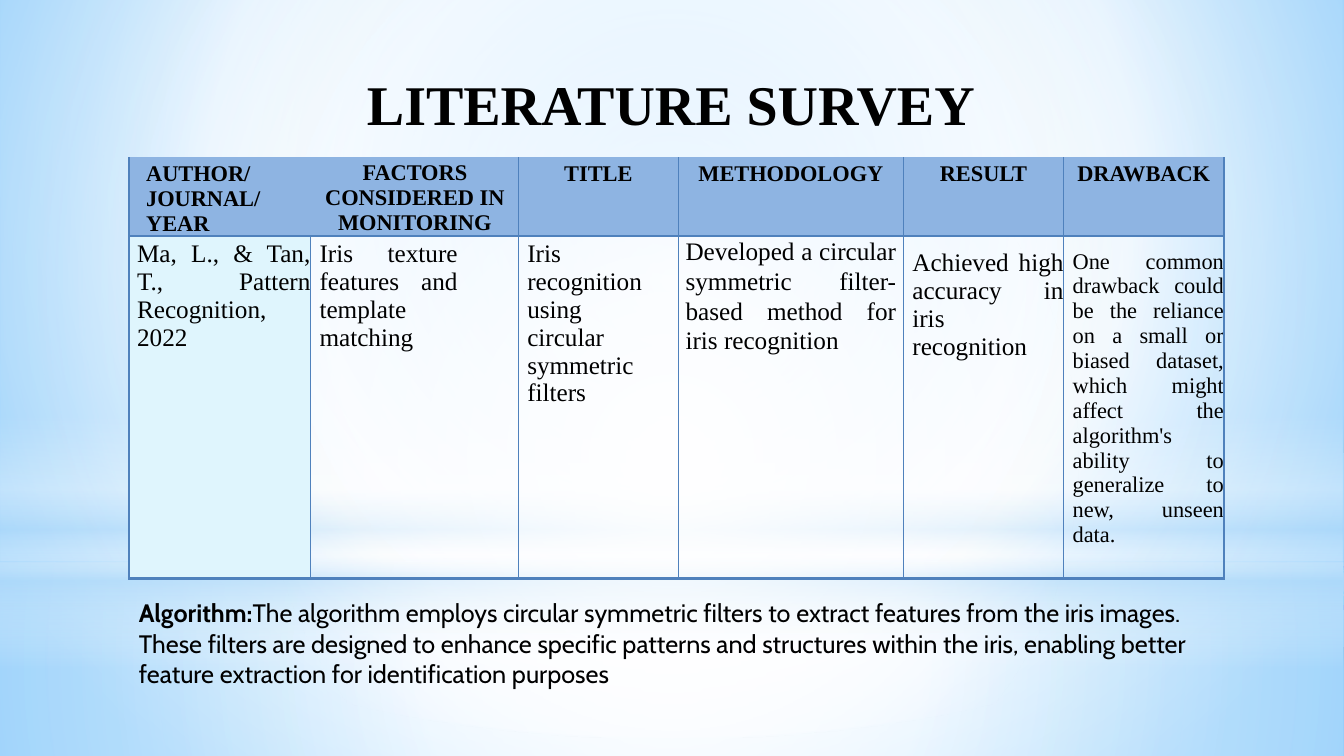
from lxml import etree
from pptx import Presentation
from pptx.dml.color import RGBColor
from pptx.enum.shapes import MSO_SHAPE
from pptx.enum.text import MSO_ANCHOR, MSO_AUTO_SIZE, PP_ALIGN
from pptx.oxml import parse_xml
from pptx.oxml.ns import nsdecls, qn
from pptx.util import Inches, Pt

LEFT, CENTER, JUSTIFY = PP_ALIGN.LEFT, PP_ALIGN.CENTER, PP_ALIGN.JUSTIFY
TOP = MSO_ANCHOR.TOP
NO_FIT = MSO_AUTO_SIZE.NONE
RECTANGLE, OVAL = MSO_SHAPE.RECTANGLE, MSO_SHAPE.OVAL
SERIF, SANS = "Times New Roman", "Cabin"
BLACK, BORDER, HEADER, HIGHLIGHT = "000000", "4F81BC", "8EB4E2", "DFF5FD"
WHITE, PALE_BLUE = "FFFFFF", "B4DCFA"
CENTERED = (50, 50, 50, 50)

BACKGROUND_STOPS = [(0, "9ED5FF", 100), (60, WHITE, 100), (100, "5BB9FF", 100)]
LAYERS = [
    (RECTANGLE, 5.58, 1.92, CENTERED,
     [(0, WHITE, 91), (37, WHITE, 76), (100, PALE_BLUE, 79)]),
    (RECTANGLE, 0, 5.58, CENTERED,
     [(0, WHITE, 89), (48, WHITE, 62), (100, PALE_BLUE, 79)]),
    (RECTANGLE, 4.12, 2.5, None,
     [(0, WHITE, 0), (29, WHITE, 30), (45, PALE_BLUE, 40),
      (55, WHITE, 26), (65, PALE_BLUE, 60), (100, WHITE, 0)]),
    (OVAL, 1.75, 5.58, CENTERED, [(0, WHITE, 100), (56, WHITE, 0)]),
]

COLUMN_WIDTHS = [1.8, 2.06, 1.59, 2.23, 1.59, 1.59]
ROW_HEIGHTS = [0.74, 3.4]
HEADINGS = [
    ("AUTHOR/ JOURNAL/ YEAR", (0.17, 0.04, 0, 0), {"align": LEFT, "before": 3.1}),
    ("FACTORS CONSIDERED IN MONITORING", (0.11, 0.03, 0.1, 0), {"before": 2.1}),
    ("TITLE", (0, 0.04, 0, 0), {"before": 3.1}),
    ("METHODOLOGY", (0, 0.04, 0, 0), {"before": 3.1}),
    ("RESULT", (0.1, 0.04, 0.1, 0), {"before": 3.1}),
    ("DRAWBACK", (0.1, 0.04, 0.1, 0), {"before": 3.1}),
]
ENTRIES = [
    ("Ma, L., & Tan, T., Pattern Recognition, 2022",
     (0.08, 0.04, 0, 0), {"before": 3.1}),
    ("Iris texture features and template matching",
     (0.09, 0.04, 0.6, 0), {"before": 3}),
    ("Iris recognition using circular symmetric filters",
     (0.09, 0.04, 0.3, 0), {"before": 3.1}),
    ("Developed a circular symmetric filter-based method for iris recognition",
     (0.07, 0, 0.07, 0), {"spacing": 1.07, "after": 8}),
    ("Achieved high accuracy in iris recognition",
     (0.09, 0.13, 0, 0), {"before": 9.2}),
    ("One common drawback could be the reliance on a small or biased dataset, "
     "which might affect the algorithm's ability to generalize to new, unseen data.",
     (0.09, 0.13, 0, 0), {"before": 9.2, "size": 16}),
]


def color(value):
    return RGBColor.from_string(value)


def write_text(paragraph, text, size=18, font=SERIF, bold=False, align=LEFT,
               before=0, after=0, spacing=None):
    paragraph.alignment = align
    paragraph.space_before = Pt(before)
    paragraph.space_after = Pt(after)
    if spacing:
        paragraph.line_spacing = spacing
    run = paragraph.add_run()
    run.text = text
    run.font.name = font
    run.font.size = Pt(size)
    run.font.bold = bold
    run.font.color.rgb = color(BLACK)


def set_margins(target, margins):
    left, top, right, bottom = (Inches(margin) for margin in margins)
    target.margin_left, target.margin_top = left, top
    target.margin_right, target.margin_bottom = right, bottom


def set_gradient(fill, parent, stops, focus=None):
    fill.solid()
    stop_xml = "".join(
        f'<a:gs pos="{position * 1000}"><a:srgbClr val="{value}">'
        f'<a:alpha val="{alpha * 1000}"/></a:srgbClr></a:gs>'
        for position, value, alpha in stops)
    if focus:
        left, top, right, bottom = (edge * 1000 for edge in focus)
        direction = (f'<a:path path="circle"><a:fillToRect l="{left}" t="{top}" '
                     f'r="{right}" b="{bottom}"/></a:path>')
    else:
        direction = '<a:lin ang="5400000" scaled="0"/>'
    gradient = parse_xml(f'<a:gradFill {nsdecls("a")} rotWithShape="1">'
                         f'<a:gsLst>{stop_xml}</a:gsLst>{direction}</a:gradFill>')
    parent.replace(parent.find(qn("a:solidFill")), gradient)


def add_backdrop(slide, width):
    fill = slide.background.fill
    fill.solid()
    properties = slide._element.find(".//" + qn("p:bgPr"))
    set_gradient(fill, properties, BACKGROUND_STOPS, (20, 10, 20, 60))
    for kind, top, height, focus, stops in LAYERS:
        shape = slide.shapes.add_shape(kind, 0, Inches(top), width, Inches(height))
        shape.shadow.inherit = False
        shape.line.fill.background()
        set_gradient(shape.fill, shape._element.spPr, stops, focus)


def add_title(slide, left, top, width, height):
    title = slide.shapes.title
    slide.shapes._spTree.append(title._element)
    title.left, title.top = Inches(left), Inches(top)
    title.width, title.height = Inches(width), Inches(height)
    frame = title.text_frame
    frame.auto_size = NO_FIT
    frame.vertical_anchor = TOP
    set_margins(frame, (0, 0.01, 0, 0))
    write_text(frame.paragraphs[0], "LITERATURE SURVEY", size=40, bold=True,
               align=CENTER, before=1)


def set_border(cell, side, width):
    properties = cell._tc.get_or_add_tcPr()
    line = etree.SubElement(properties, qn(f"a:ln{side}"), w=str(Pt(width)))
    if width:
        fill = etree.SubElement(line, qn("a:solidFill"))
        etree.SubElement(fill, qn("a:srgbClr"), val=BORDER)
    else:
        etree.SubElement(line, qn("a:noFill"))


def add_survey_table(slide, left, top, width, height):
    frame = slide.shapes.add_table(len(ROW_HEIGHTS), len(COLUMN_WIDTHS), Inches(left),
                                   Inches(top), Inches(width), Inches(height))
    table = frame.table
    table.first_row = table.horz_banding = False
    for column, column_width in zip(table.columns, COLUMN_WIDTHS):
        column.width = Inches(column_width)
    for row, row_height in zip(table.rows, ROW_HEIGHTS):
        row.height = Inches(row_height)
    for row_index, contents in enumerate([HEADINGS, ENTRIES]):
        is_heading = row_index == 0
        base = ({"size": 16, "bold": True, "align": CENTER} if is_heading
                else {"align": JUSTIFY})
        for column_index, (text, margins, style) in enumerate(contents):
            cell = table.cell(row_index, column_index)
            cell.vertical_anchor = TOP
            set_margins(cell, margins)
            write_text(cell.text_frame.paragraphs[0], text, **{**base, **style})
            set_border(cell, "L", 0 if is_heading and column_index == 1 else 1)
            set_border(cell, "R", 0 if is_heading and column_index == 0 else 1)
            set_border(cell, "T", 0 if is_heading else 1)
            set_border(cell, "B", 1 if is_heading else 2.25)
            if is_heading or column_index == 0:
                cell.fill.solid()
                cell.fill.fore_color.rgb = color(HEADER if is_heading else HIGHLIGHT)
            else:
                cell.fill.background()


def add_algorithm_note(slide, left, top, width, height):
    box = slide.shapes.add_textbox(Inches(left), Inches(top), Inches(width), Inches(height))
    box.text_frame.word_wrap = True
    paragraph = box.text_frame.paragraphs[0]
    write_text(paragraph, "Algorithm:", font=SANS, bold=True)
    write_text(paragraph, "The algorithm employs circular symmetric filters to extract "
               "features from the iris images. These filters are designed to enhance "
               "specific patterns and structures within the iris, enabling better "
               "feature extraction for identification purposes", font=SANS)


def main():
    presentation = Presentation()
    presentation.slide_width = Inches(13.33)
    presentation.slide_height = Inches(7.5)
    slide = presentation.slides.add_slide(presentation.slide_layouts[5])
    add_backdrop(slide, presentation.slide_width)
    add_title(slide, 3.28, 0.68, 6.75, 0.69)
    add_survey_table(slide, 1.28, 1.56, 10.86, 4.14)
    add_algorithm_note(slide, 1.28, 5.88, 10.86, 1.01)
    presentation.save("out.pptx")


if __name__ == "__main__":
    main()
